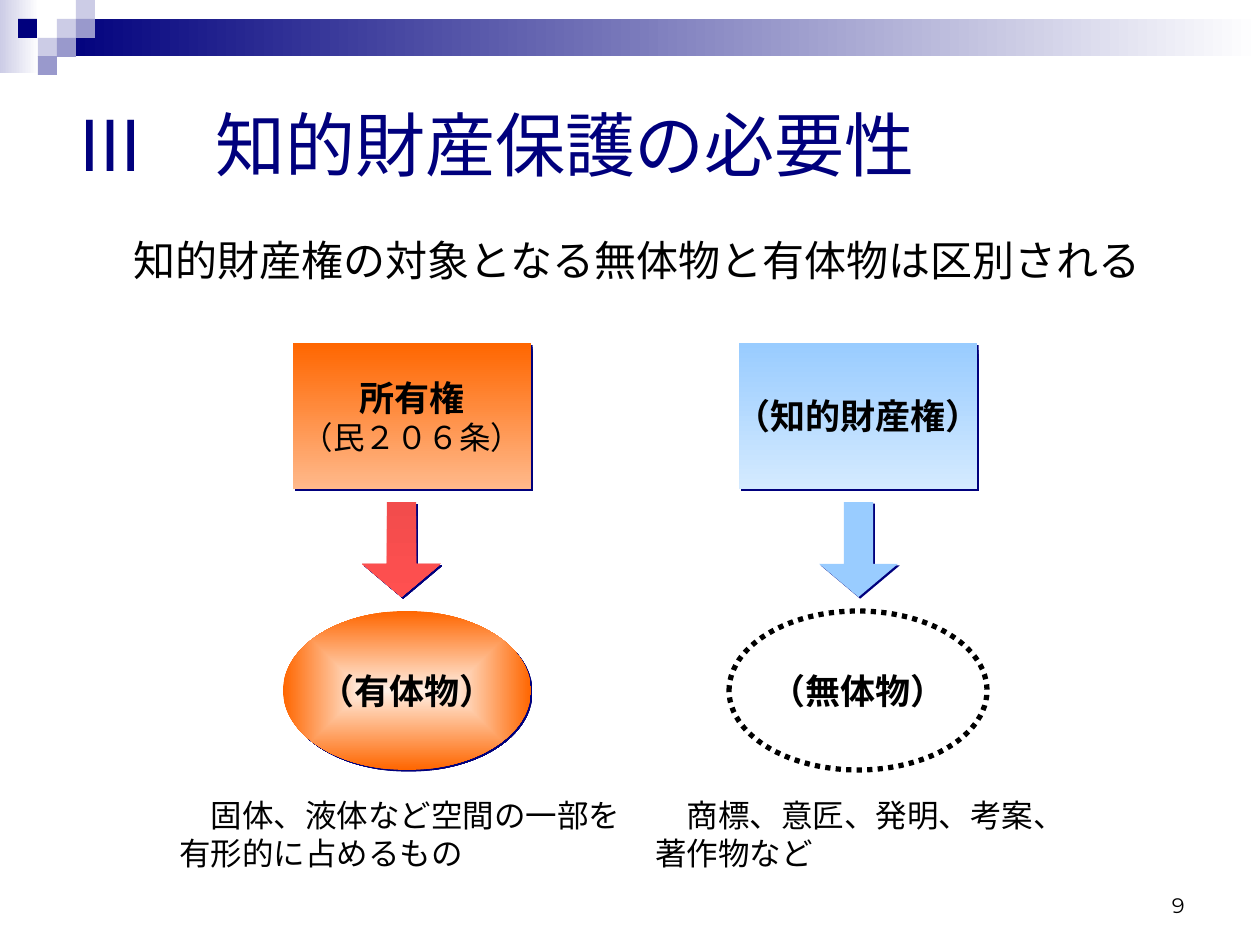
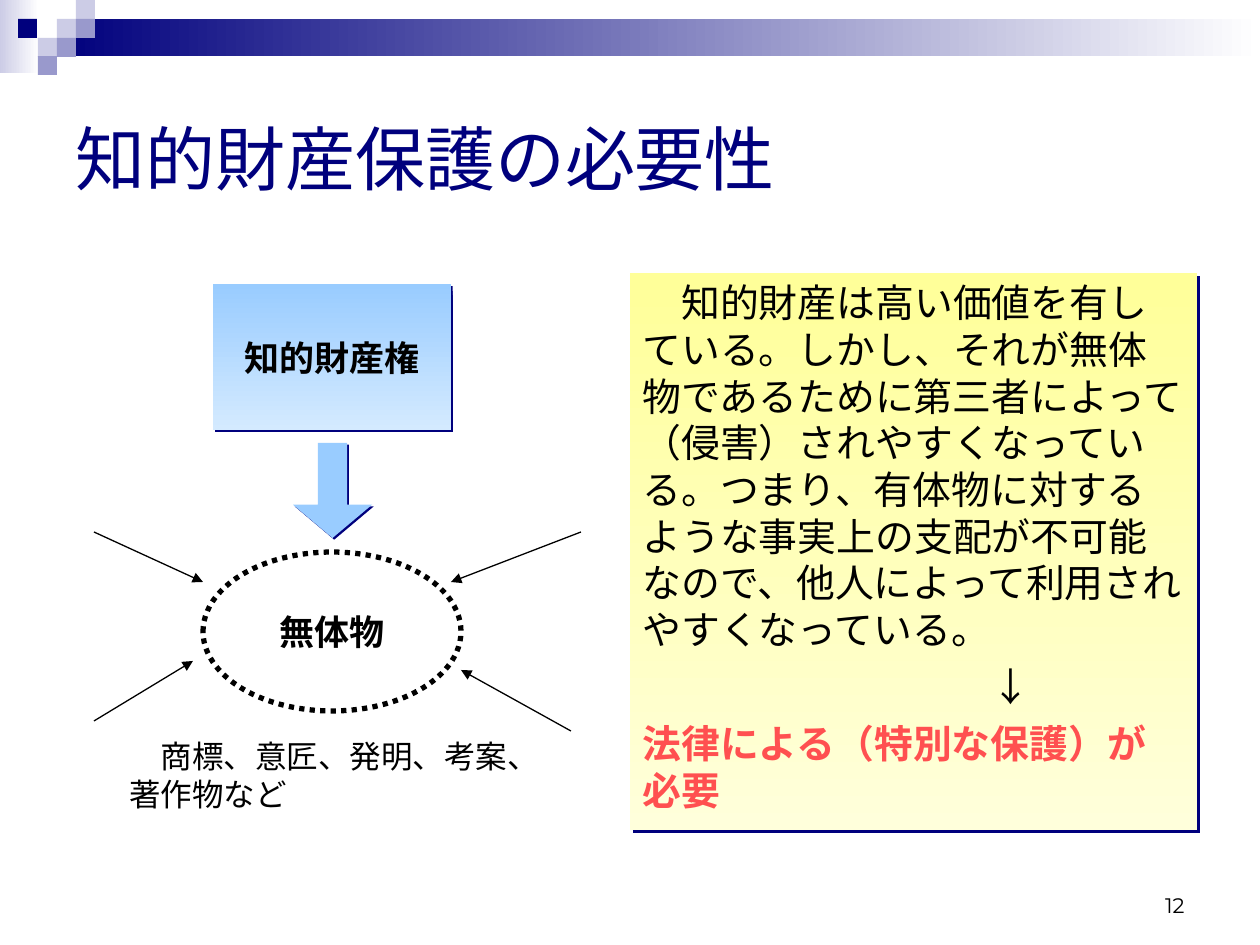
import lxml.etree
import pptx
import pptx.dml.color
import pptx.enum.dml
import pptx.enum.lang
import pptx.enum.shapes
import pptx.enum.text
import pptx.oxml
import pptx.oxml.ns
import pptx.util

RGBColor = pptx.dml.color.RGBColor
SHAPE = pptx.enum.shapes.MSO_SHAPE
ALIGN = pptx.enum.text.PP_ALIGN
ANCHOR = pptx.enum.text.MSO_ANCHOR
qn = pptx.oxml.ns.qn

# Shared colours, fonts and scale
NAVY = RGBColor(0x00, 0x00, 0x7D)
LAVENDER = RGBColor(0xCC, 0xCC, 0xE6)
VIOLET = RGBColor(0x99, 0x99, 0xCC)
WHITE = RGBColor(0xFF, 0xFF, 0xFF)
BLACK = RGBColor(0x00, 0x00, 0x00)
ORANGE = RGBColor(0xFF, 0x66, 0x00)
PEACH = RGBColor(0xFF, 0xB9, 0x8B)
CREAM = RGBColor(0xFF, 0xEF, 0xE4)
RED = RGBColor(0xFF, 0x50, 0x50)
DARK_RED = RGBColor(0xF2, 0x4C, 0x4C)
SKY = RGBColor(0x99, 0xCC, 0xFF)
PALE_SKY = RGBColor(0xD4, 0xEA, 0xFF)
YELLOW = RGBColor(0xFF, 0xFF, 0x99)
PALE_YELLOW = RGBColor(0xFF, 0xFF, 0xDB)

TEXT_FONT = "Arial"
NUMBER_FONT = "Montserrat"
PANEL_SIZE = 22.2
PX_PER_INCH = 126
ACROSS, DOWN = 0, 270


def px(length):
    return pptx.util.Emu(round(length * 914400 / PX_PER_INCH))


def frame(left, top, width, height):
    return [px(length) for length in (left, top, width, height)]


# Fills, shadows and text
def paint(shape, colors, angle=DOWN):
    """Fill with one colour, or with a linear gradient of two."""
    if len(colors) == 1:
        shape.fill.solid()
        shape.fill.fore_color.rgb = colors[0]
        return
    shape.fill.gradient()
    shape.fill.gradient_angle = angle
    for stop, color in zip(shape.fill.gradient_stops, colors):
        stop.color.rgb = color


def make_gradient_rectangular(shape):
    linear = shape._element.spPr.find(".//" + qn("a:lin"))
    around = pptx.oxml.parse_xml(
        f'<a:path {pptx.oxml.ns.nsdecls("a")} path="rect">'
        '<a:fillToRect l="50000" t="50000" r="50000" b="50000"/></a:path>')
    linear.getparent().replace(linear, around)


def add_shadow(shape, distance):
    effects = shape._element.spPr.find(qn("a:effectLst"))
    shadow = lxml.etree.SubElement(
        effects, qn("a:outerShdw"), dist=str(pptx.util.Pt(distance)),
        dir="2700000", algn="ctr", rotWithShape="0")
    lxml.etree.SubElement(shadow, qn("a:srgbClr"), val=str(NAVY))


def style(para, size, color=BLACK, bold=False, align=ALIGN.LEFT, name=TEXT_FONT):
    para.alignment = align
    para.font.name = name
    para.font.size = pptx.util.Pt(size)
    para.font.bold = bold
    para.font.color.rgb = color
    for span in para.runs:
        span.font.language_id = pptx.enum.lang.MSO_LANGUAGE_ID.JAPANESE


def indent(para, first_line=0, left=0):
    properties = para._p.get_or_add_pPr()
    properties.set("marL", str(pptx.util.Pt(left)))
    properties.set("indent", str(pptx.util.Pt(first_line)))


def write(box, lines):
    """Put one paragraph per line of text and return the paragraphs."""
    box.text_frame.text = "\n".join(lines)
    return box.text_frame.paragraphs


# Elements
def add_block(page, kind, place, colors=(), angle=DOWN, shadow=0):
    shape = page.shapes.add_shape(kind, *frame(*place))
    shape.shadow.inherit = False
    shape.line.fill.background()
    if colors:
        paint(shape, colors, angle)
    else:
        shape.fill.background()
    if shadow:
        add_shadow(shape, shadow)
    return shape


def add_label(shape, title, note=None):
    shape.text_frame.word_wrap = False
    shape.text_frame.vertical_anchor = ANCHOR.MIDDLE
    paras = write(shape, [title, note] if note else [title])
    style(paras[0], 20, bold=True, align=ALIGN.CENTER)
    for para in paras[1:]:
        style(para, 18, align=ALIGN.CENTER)


def add_right_box(page, left, top, colors, title, note=None):
    box = add_block(page, SHAPE.RECTANGLE, (left, top, 238, 146), colors, shadow=1.4)
    add_label(box, title, note)


def add_down_arrow(page, left, top, colors):
    arrow = add_block(page, SHAPE.DOWN_ARROW, (left, top, 79, 95), colors, shadow=1.4)
    arrow.adjustments[0] = 0.37
    arrow.adjustments[1] = 0.42


def add_text_box(page, *place):
    box = page.shapes.add_textbox(*frame(*place))
    box.text_frame.word_wrap = True
    return box


def add_caption(page, left, top, width, lines):
    box = add_text_box(page, left, top, width, 88)
    box.text_frame.margin_right = 0
    paras = write(box, lines)
    for para in paras:
        style(para, 18)
    indent(paras[0], first_line=18)


def add_pointer(page, start, end):
    line = page.shapes.add_connector(
        pptx.enum.shapes.MSO_CONNECTOR.STRAIGHT, *frame(*start, *end))
    line.line.color.rgb = BLACK
    line.line.width = pptx.util.Pt(0.75)
    lxml.etree.SubElement(line.line._get_or_add_ln(), qn("a:tailEnd"), type="triangle")
    lxml.etree.SubElement(line._element.spPr, qn("a:effectLst"))


def add_intangible_column(page, left, top, right_name, object_name):
    """Intellectual property right, arrow, dotted ellipse and examples."""
    ellipse = add_block(page, SHAPE.OVAL, (left, top + 268, 258, 159))
    ellipse.line.color.rgb = BLACK
    ellipse.line.width = pptx.util.Pt(3)
    ellipse.line.dash_style = pptx.enum.dml.MSO_LINE.ROUND_DOT
    add_label(ellipse, object_name)
    add_down_arrow(page, left + 90, top + 159, [SKY])
    add_right_box(page, left + 10, top, [SKY, PALE_SKY], right_name)
    add_caption(page, left - 86, top + 447, 435,
                ["商標、意匠、発明、考案、", "著作物など"])


# Shared page parts
def add_header_band(page):
    add_block(page, SHAPE.RECTANGLE, (0, 0, 39, 73), [LAVENDER, WHITE], ACROSS)
    add_block(page, SHAPE.RECTANGLE, (57, 19, 1203, 37), [NAVY, WHITE], ACROSS)
    squares = [(57, 19, LAVENDER), (76, 0, LAVENDER), (76, 19, VIOLET),
               (38, 38, LAVENDER), (18, 19, NAVY), (57, 38, VIOLET),
               (38, 56, VIOLET)]
    for left, top, color in squares:
        add_block(page, SHAPE.RECTANGLE, (left, top, 19, 19), [color])


def add_page(deck, title, title_height, number):
    page = deck.slides.add_slide(deck.slide_layouts[5])
    add_header_band(page)
    heading = page.shapes.title
    heading.left, heading.top, heading.width, heading.height = frame(
        63, 63, 1134, title_height)
    heading.text_frame.auto_size = pptx.enum.text.MSO_AUTO_SIZE.NONE
    heading.text_frame.vertical_anchor = ANCHOR.MIDDLE
    style(write(heading, [title])[0], 40, NAVY)

    number_box = add_text_box(page, 903, 861, 294, 63)
    number_box.text_frame.vertical_anchor = ANCHOR.BOTTOM
    style(write(number_box, [number])[0], 12, align=ALIGN.RIGHT, name=NUMBER_FONT)
    return page


# Slides
def build_distinction_page(deck):
    page = add_page(deck, "Ⅲ　知的財産保護の必要性", 161, "9")
    statement = add_text_box(page, 65, 214, 1134, 91)
    statement.text_frame.margin_top = px(21)
    para = write(statement, ["知的財産権の対象となる無体物と有体物は区別される"])[0]
    style(para, 24)
    indent(para, first_line=32)

    # Ownership of tangible things
    tangible = add_block(page, SHAPE.OVAL, (283, 611, 248, 159),
                         [CREAM, ORANGE], shadow=1.4)
    make_gradient_rectangular(tangible)
    add_label(tangible, "（有体物）")
    add_down_arrow(page, 362, 502, [DARK_RED, RED])
    add_right_box(page, 293, 343, [ORANGE, PEACH], "所有権", "（民２０６条）")
    add_caption(page, 167, 790, 466,
                ["固体、液体など空間の一部を", "有形的に占めるもの"])

    add_intangible_column(page, 729, 343, "（知的財産権）", "（無体物）")


def build_protection_page(deck):
    page = add_page(deck, "知的財産保護の必要性", 189, "12")

    # Reasoning panel, with its line ends fixed
    panel = add_block(page, SHAPE.RECTANGLE, (630, 273, 567, 557),
                      [YELLOW, PALE_YELLOW], shadow=2.8)
    panel.text_frame.word_wrap = True
    panel.text_frame.vertical_anchor = ANCHOR.TOP
    panel.text_frame.margin_right = 0
    reason_lines = [
        "知的財産は高い価値を有し",
        "ている。しかし、それが無体",
        "物であるために第三者によって",
        "（侵害）されやすくなってい",
        "る。つまり、有体物に対する",
        "ような事実上の支配が不可能",
        "なので、他人によって利用され",
        "やすくなっている。"]
    reason, arrow, conclusion = write(panel, [
        "\v".join(reason_lines),
        "　↓",
        "法律による（特別な保護）が\v必要"])
    style(reason, PANEL_SIZE)
    style(arrow, PANEL_SIZE)
    style(conclusion, PANEL_SIZE, RED, bold=True)
    for para in (reason, arrow, conclusion):
        para.space_before = pptx.util.Pt(6)
    indent(reason, first_line=PANEL_SIZE)
    indent(arrow, left=8 * PANEL_SIZE)

    # Intangible thing exposed from all sides
    add_intangible_column(page, 203, 284, "知的財産権", "無体物")
    for start, end in [((94, 532), (203, 582)), ((581, 532), (451, 582)),
                       ((94, 721), (193, 661)), ((571, 731), (461, 670))]:
        add_pointer(page, start, end)


def main():
    deck = pptx.Presentation()
    deck.slide_width = px(1260)
    deck.slide_height = px(945)
    build_distinction_page(deck)
    build_protection_page(deck)
    deck.save("out.pptx")


if __name__ == "__main__":
    main()
